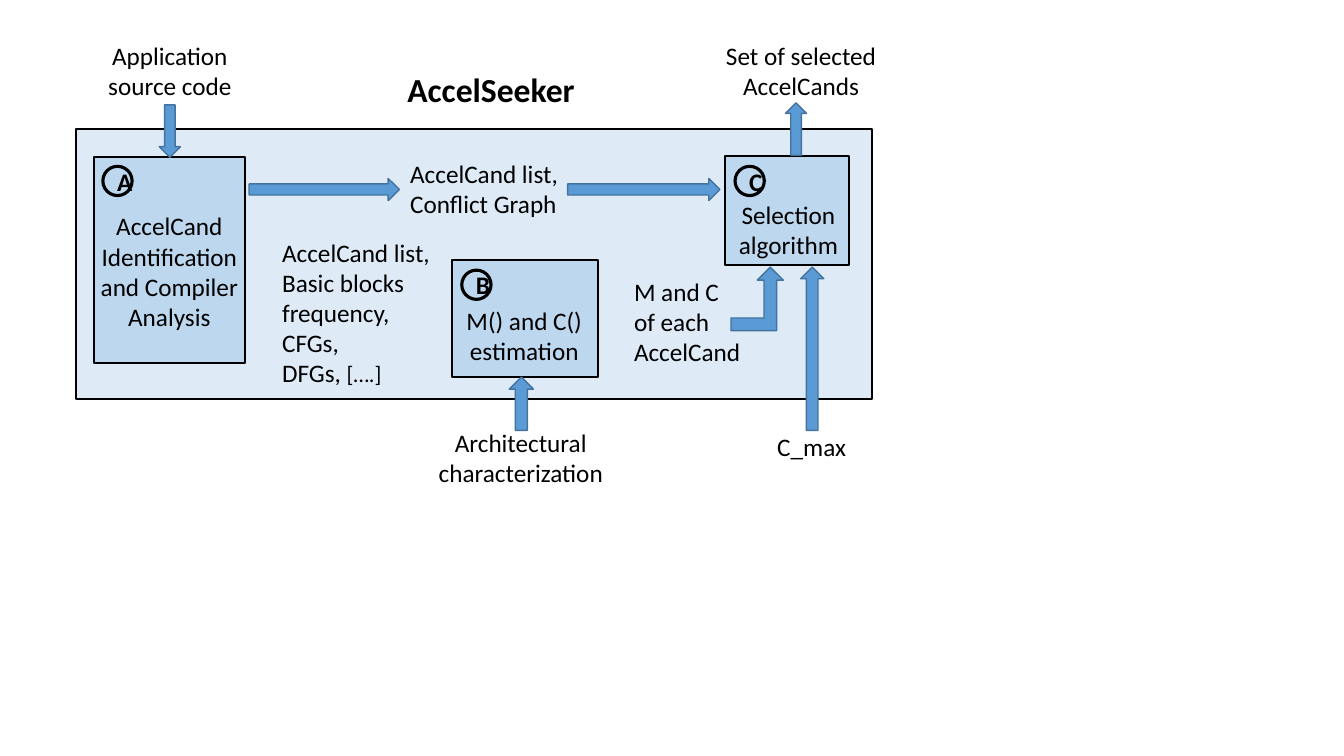
"""Draw the AccelSeeker flow: three steps, their inputs and their outputs."""
from dataclasses import dataclass
from typing import Any

from pptx import Presentation
from pptx import util as u
from pptx.dml import color
from pptx.enum import shapes, text

KIND = shapes.MSO_SHAPE
ALIGN = text.PP_ALIGN
BLACK, PANEL, STEP, BLUE, EDGE = "000000", "DEEBF7", "BDD7EE", "5B9BD5", "43739E"
BODY = {"name": "Calibri", "size": u.Pt(18), "bold": False}
BOLD = BODY | {"bold": True}
HEAD = BOLD | {"size": u.Pt(24)}
FLOW = {"word_wrap": False, "auto_size": text.MSO_AUTO_SIZE.SHAPE_TO_FIT_TEXT}


@dataclass
class Form:
    kind: Any
    at: tuple[float, ...]
    fill: str = ""
    line: str = BLACK
    width: float = 1.5
    turn: int = 0
    mark: str = ""
    bends: tuple[float, ...] = ()


@dataclass
class Note:
    at: tuple[float, ...]
    words: str
    align: Any = ALIGN.CENTER
    wrap: bool = False


def arrow(kind: Any, at: tuple[float, ...], turn: int = 0, bends: tuple[float, ...] = ()) -> Form:
    return Form(kind, at, BLUE, EDGE, 1, turn, bends=bends)


def badge(mark: str, left: float, top: float) -> Form:
    return Form(KIND.OVAL, (left, top, 0.29, 0.29), width=2.25, mark=mark)


FORMS = [
    Form(KIND.RECTANGLE, (0.75, 1.28, 7.9, 2.68), PANEL),
    Form(KIND.RECTANGLE, (0.93, 1.56, 1.5, 2.04), STEP),
    Form(KIND.RECTANGLE, (4.48, 2.58, 1.45, 1.16), STEP),
    Form(KIND.RECTANGLE, (7.19, 1.55, 1.23, 1.08), STEP),
    badge("A", 1.02, 1.65),
    badge("B", 4.58, 2.68),
    badge("C", 7.29, 1.65),
    arrow(KIND.DOWN_ARROW, (1.58, 1.04, 0.21, 0.52)),
    arrow(KIND.DOWN_ARROW, (7.79, 1.02, 0.21, 0.52), 180),
    arrow(KIND.DOWN_ARROW, (5.05, 3.74, 0.24, 0.53), 180),
    arrow(KIND.DOWN_ARROW, (7.94, 2.65, 0.23, 1.62), 180),
    arrow(KIND.RIGHT_ARROW, (2.47, 1.77, 1.49, 0.22)),
    arrow(KIND.RIGHT_ARROW, (5.63, 1.77, 1.51, 0.22)),
    arrow(KIND.BENT_UP_ARROW, (7.25, 2.65, 0.52, 0.63), bends=(0.24, 0.25, 0.25)),
]
NOTES = [
    Note((0.82, 0.35, 1.73, 0.71), "Application\nsource code", wrap=True),
    Note((0.88, 2.04, 1.6, 1.31), "AccelCand\nIdentification\nand Compiler\nAnalysis"),
    Note((4.24, 4.19, 1.85, 0.71), "Architectural\ncharacterization"),
    Note((7.22, 1.93, 1.2, 0.71), "Selection\nalgorithm"),
    Note((7.61, 4.23, 0.89, 0.4), "C_max", ALIGN.LEFT),
    Note((3.97, 1.52, 1.73, 0.71), "AccelCand list,\nConflict Graph", ALIGN.LEFT, True),
    Note((7.09, 0.35, 1.71, 0.71), "Set of selected\nAccelCands"),
    Note((4.52, 2.98, 1.36, 0.71), "M() and C()\nestimation"),
    Note((6.19, 2.69, 1.27, 1.01), "M and C\nof each\nAccelCand", ALIGN.LEFT),
]
LIST = Note((2.7, 2.3, 1.73, 1.62), "AccelCand list,\nBasic blocks frequency,\nCFGs,\nDFGs, ",
            ALIGN.LEFT, True)


def apply(item: Any, values: dict[str, Any]) -> None:
    for name, value in values.items():
        setattr(item, name, value)


def paint(part: Any, tone: str) -> None:
    part.rgb = color.RGBColor.from_string(tone)


def style(run: Any, values: dict[str, Any]) -> None:
    apply(run.font, values)
    paint(run.font.color, BLACK)


def write(frame: Any, words: str, align: Any, values: dict[str, Any]) -> None:
    frame.text = words
    for para in frame.paragraphs:
        para.alignment = align
        for run in para.runs:
            style(run, values)


def place(at: tuple[float, ...]) -> list[u.Length]:
    return [u.Inches(side) for side in at]


def draw(slide: Any, form: Form) -> None:
    shape = slide.shapes.add_shape(form.kind, *place(form.at))
    shape.shadow.inherit = False
    shape.rotation = form.turn
    for index, bend in enumerate(form.bends):
        shape.adjustments[index] = bend
    if form.fill:
        shape.fill.solid()
        paint(shape.fill.fore_color, form.fill)
    else:
        shape.fill.background()
    paint(shape.line.color, form.line)
    shape.line.width = u.Pt(form.width)
    if form.mark:
        write(shape.text_frame, form.mark, ALIGN.CENTER, BOLD)


def label(slide: Any, note: Note) -> Any:
    frame = slide.shapes.add_textbox(*place(note.at)).text_frame
    apply(frame, FLOW | {"word_wrap": note.wrap})
    write(frame, note.words, note.align, BODY)
    return frame


def title(slide: Any) -> None:
    head = slide.shapes.title
    apply(head, dict(zip(("left", "top", "width", "height"), place((3.94, 0.63, 1.88, 0.5)))))
    apply(head.text_frame, FLOW | {"vertical_anchor": text.MSO_ANCHOR.TOP})
    write(head.text_frame, "AccelSeeker", ALIGN.LEFT, HEAD)


def main() -> None:
    deck = Presentation()
    apply(deck, {"slide_width": u.Inches(13.33), "slide_height": u.Inches(7.5)})
    slide = deck.slides.add_slide(deck.slide_layouts[5])
    title(slide)
    for form in FORMS:
        draw(slide, form)
    for note in NOTES:
        label(slide, note)
    tail = label(slide, LIST).paragraphs[-1].add_run()
    tail.text = "[….]"
    style(tail, BODY | {"size": u.Pt(16)})
    deck.save("out.pptx")


if __name__ == "__main__":
    main()
